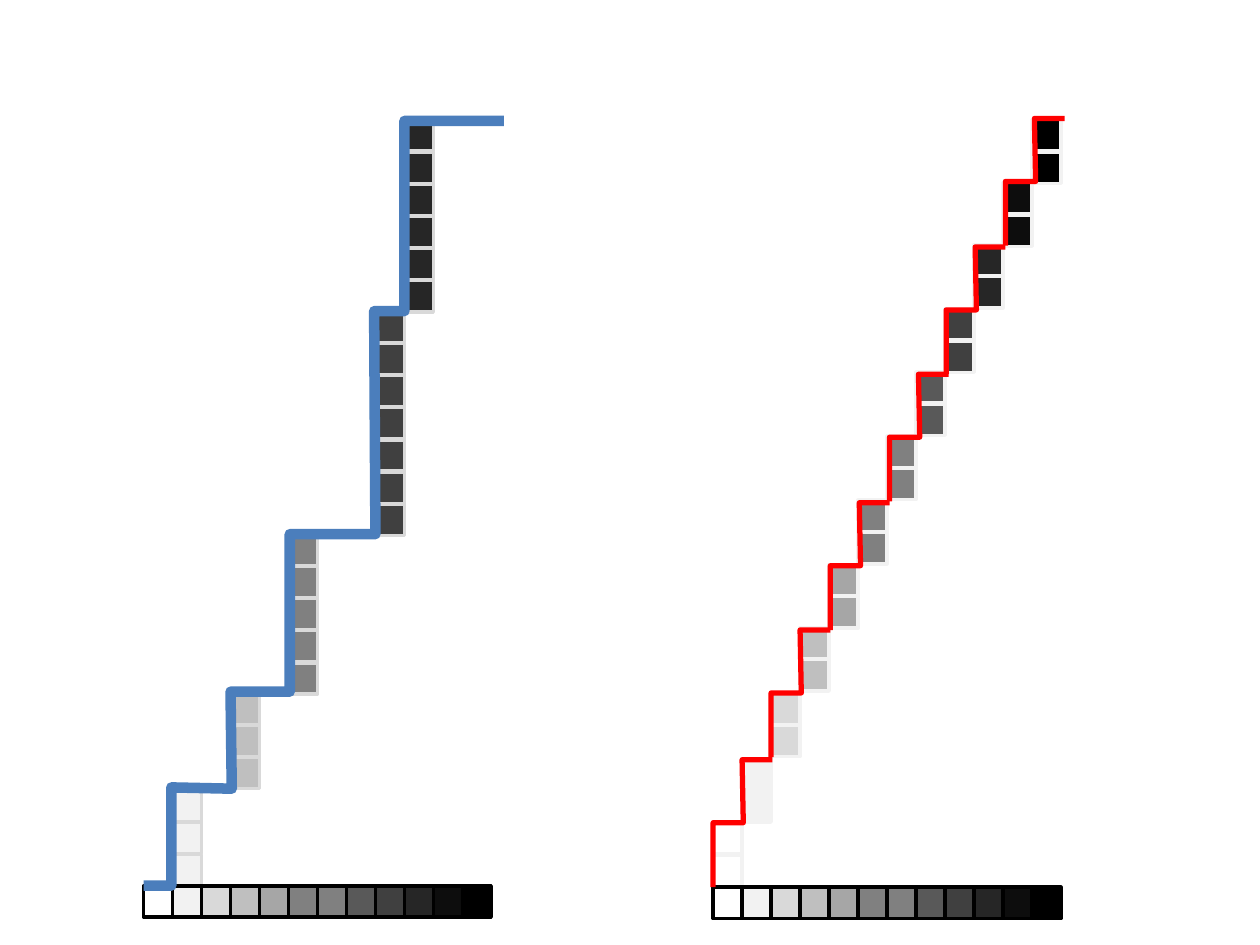
from typing import NamedTuple

from lxml.etree import SubElement
from pptx import Presentation
from pptx.dml.color import RGBColor
from pptx.enum.shapes import MSO_SHAPE as Preset
from pptx.oxml.ns import qn
from pptx.util import Inches, Pt

CELL_W, CELL_H = 0.23, 0.25
PITCH_X, PITCH_Y = 0.23, 0.255
GREYS = ["FFFFFF", "F2F2F2", "D9D9D9", "BFBFBF", "A6A6A6", "808080",
         "808080", "595959", "404040", "262626", "0D0D0D", "000000"]


class Stack(NamedTuple):
    level: int  # column of the grey scale below
    top: float
    count: int


def paint(target, color: str) -> None:
    target.solid()
    target.fore_color.rgb = RGBColor.from_string(color)


def add_cell(shapes, left: float, top: float, fill: str, edge: str) -> None:
    cell = shapes.add_shape(Preset.RECTANGLE, Inches(left), Inches(top),
                            Inches(CELL_W), Inches(CELL_H))
    cell.shadow.inherit = False
    paint(cell.fill, fill)
    paint(cell.line.fill, edge)
    cell.line.width = Pt(2)


def add_stack(shapes, base: float, stack: Stack, edge: str) -> None:
    left = base + stack.level * PITCH_X
    for row in range(stack.count):
        add_cell(shapes, left, stack.top + row * PITCH_Y,
                 GREYS[stack.level], edge)


def add_scale(shapes, left: float, top: float) -> None:
    for level, grey in enumerate(GREYS):
        add_cell(shapes, left + level * PITCH_X, top, grey, "000000")


def add_steps(shapes, points: list[tuple[float, float]], color: str,
              width: float) -> None:
    spots = [(Inches(x), Inches(y)) for x, y in points]
    pen = shapes.build_freeform(*spots[0])
    pen.add_line_segments(spots[1:], close=False)
    path = pen.convert_to_shape()
    path.shadow.inherit = False
    path.fill.background()
    paint(path.line.fill, color)
    path.line.width = Pt(width)
    SubElement(path.line._get_or_add_ln(), qn("a:round"))


deck = Presentation()
deck.slide_width, deck.slide_height = Inches(10), Inches(7.5)
slide = deck.slides.add_slide(deck.slide_layouts[6])

# Left: uneven steps over the grey scale
LEFT = 1.14
uneven = slide.shapes.add_group_shape().shapes
for stack in [Stack(1, 6.27, 3), Stack(3, 5.5, 3), Stack(5, 4.24, 5),
              Stack(8, 2.47, 7), Stack(9, 0.95, 6)]:
    add_stack(uneven, LEFT, stack, "D9D9D9")
add_scale(uneven, LEFT, 7.03)
add_steps(uneven, [(1.14, 7.03), (1.36, 7.03), (1.36, 6.25), (1.84, 6.26),
                   (1.83, 5.49), (2.3, 5.49), (2.3, 4.24), (2.98, 4.24),
                   (2.97, 2.47), (3.21, 2.47), (3.21, 0.96), (4, 0.96)],
          "4B7EBC", 6)

# Right: even steps, two cells for each grey
RIGHT = 5.66
TOPS = [6.53, 6.02, 5.5, 4.98, 4.48, 3.97, 3.46, 2.95, 2.45, 1.94, 1.45, 0.95]
for level, top in enumerate(TOPS):
    add_stack(slide.shapes, RIGHT, Stack(level, top, 2), "F2F2F2")
add_scale(slide.shapes, RIGHT, 7.04)

# Red line: the same double step, repeated upwards
DOUBLE = [(0, 0), (0, -0.51), (0.24, -0.51), (0.23, -1.01), (0.47, -1.01)]
even = slide.shapes.add_group_shape().shapes
for x, y in [(5.66, 7.04), (6.12, 6.01), (6.59, 5), (7.06, 3.98),
             (7.51, 2.97), (7.98, 1.95)]:
    add_steps(even, [(x + dx, y + dy) for dx, dy in DOUBLE], "FF0000", 3)

deck.save("out.pptx")
